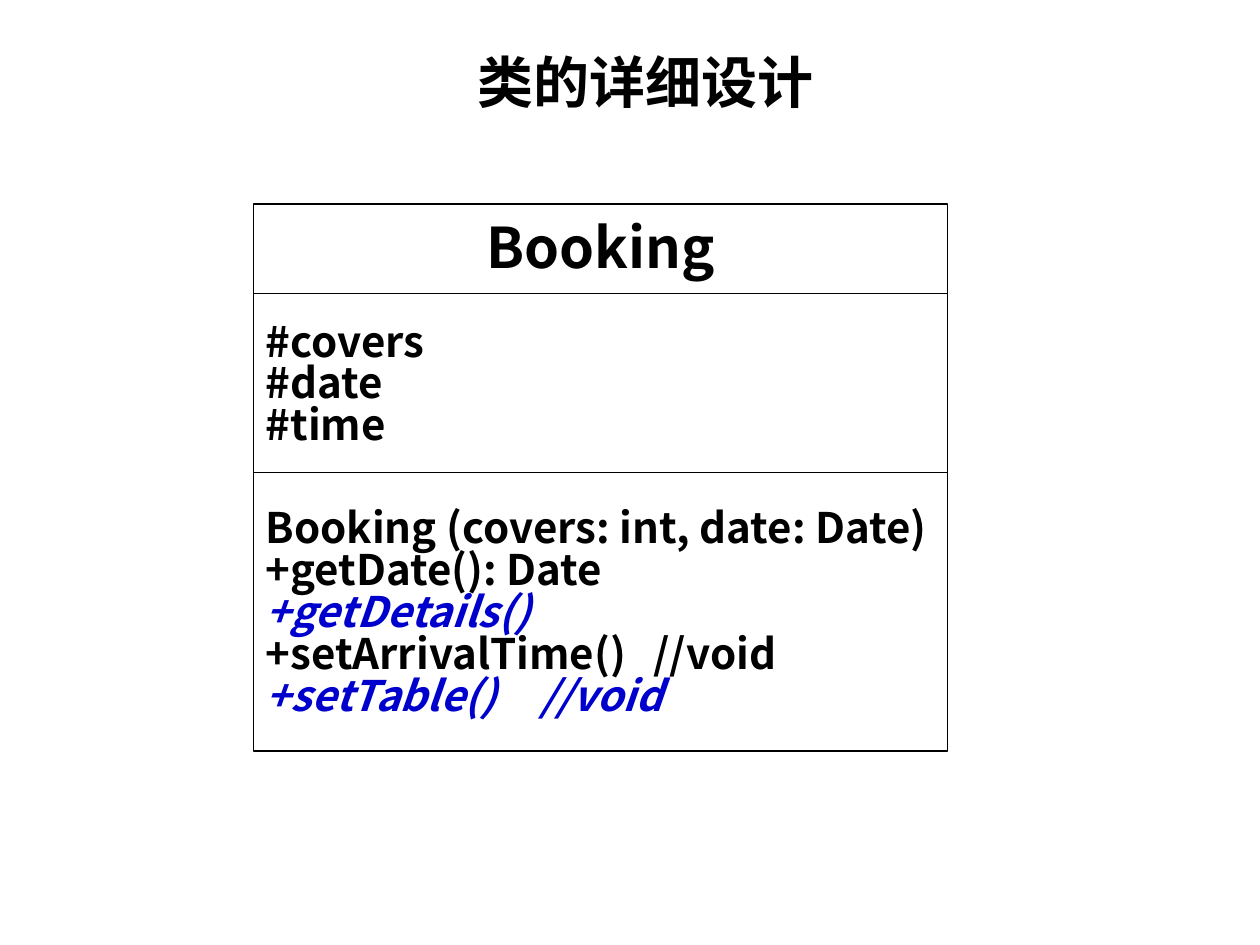
from dataclasses import dataclass

from pptx import Presentation
from pptx.dml.color import RGBColor
from pptx.enum.shapes import MSO_SHAPE
from pptx.enum.text import MSO_ANCHOR, PP_ALIGN
from pptx.oxml.ns import qn
from pptx.util import Inches, Pt
from lxml.etree import SubElement


@dataclass(frozen=True)
class Theme:
    font: str = "Noto Sans CJK SC"
    ink: RGBColor = RGBColor(0, 0, 0)
    accent: RGBColor = RGBColor(0, 0, 0xCC)
    paper: RGBColor = RGBColor(0xFF, 0xFF, 0xFF)
    heading: int = 32
    body: int = 24
    line: float = 0.75
    leading: float = 0.83


@dataclass(frozen=True)
class Line:
    text: str
    abstract: bool = False
    tab: float = 0  # inches from the text edge to the return type


@dataclass(frozen=True)
class Compartment:
    height: float
    lines: tuple[Line, ...]
    size: int
    align: PP_ALIGN = PP_ALIGN.LEFT


THEME = Theme()
LEFT, TOP, WIDTH = 2.01, 1.62, 5.51
BOOKING = (
    Compartment(0.71, (Line("Booking"),), THEME.heading, PP_ALIGN.CENTER),
    Compartment(1.42, (Line("#covers"), Line("#date"), Line("#time")), THEME.body),
    Compartment(2.21, (
        Line("Booking (covers: int, date: Date)"),
        Line("+getDate(): Date"),
        Line("+getDetails()", abstract=True),
        Line("+setArrivalTime()\t//void", tab=3.08),
        Line("+setTable()\t//void", abstract=True, tab=2.18),
    ), THEME.body),
)


def write_line(p, line: Line, size: int, align: PP_ALIGN) -> None:
    p.alignment = align
    if line.tab:
        tabs = SubElement(p._p.get_or_add_pPr(), qn("a:tabLst"))
        SubElement(tabs, qn("a:tab"), pos=str(Inches(line.tab)), algn="l")
    r = p.add_run()
    r.text = line.text
    look = {"name": THEME.font, "size": Pt(size), "bold": True, "italic": line.abstract}
    for name, value in look.items():
        setattr(r.font, name, value)
    r.font.color.rgb = THEME.accent if line.abstract else THEME.ink
    SubElement(r._r.get_or_add_rPr(), qn("a:ea"), typeface=THEME.font)


def add_title(s, text: str) -> None:
    tf = s.shapes.add_textbox(Inches(3.11), Inches(0.22), Inches(4.03), Inches(0.85)).text_frame
    tf.word_wrap = True
    tf.vertical_anchor = MSO_ANCHOR.MIDDLE
    write_line(tf.paragraphs[0], Line(text), THEME.heading, PP_ALIGN.CENTER)


def add_compartment(s, top: float, part: Compartment) -> None:
    sp = s.shapes.add_shape(MSO_SHAPE.RECTANGLE, Inches(LEFT), Inches(top),
                            Inches(WIDTH), Inches(part.height))
    sp.shadow.inherit = False
    sp.fill.solid()
    sp.fill.fore_color.rgb = THEME.paper
    sp.line.color.rgb = THEME.ink
    sp.line.width = Pt(THEME.line)
    tf = sp.text_frame
    frame = {"word_wrap": True, "vertical_anchor": MSO_ANCHOR.MIDDLE, "margin_top": Inches(0.1)}
    for name, value in frame.items():
        setattr(tf, name, value)
    for i, line in enumerate(part.lines):
        p = tf.add_paragraph() if i else tf.paragraphs[0]
        p.line_spacing = THEME.leading
        write_line(p, line, part.size, part.align)


def main() -> None:
    prs = Presentation()
    prs.slide_width, prs.slide_height = Inches(10), Inches(7.5)
    s = prs.slides.add_slide(prs.slide_layouts[6])
    top = TOP
    for part in BOOKING:
        add_compartment(s, top, part)
        top += part.height
    add_title(s, "类的详细设计")
    prs.save("out.pptx")


if __name__ == "__main__":
    main()
